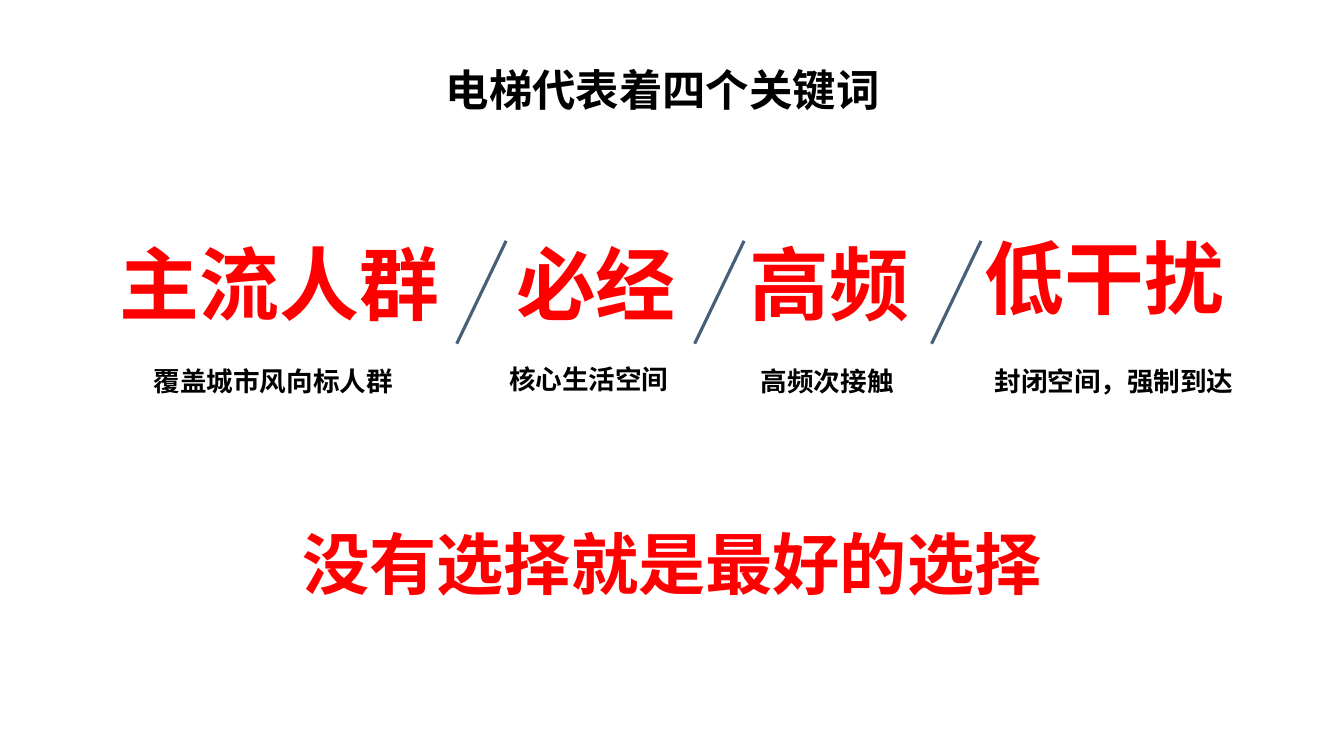
"""Build a slide with four keywords about lifts and a closing claim."""
import pptx
import pptx.util
from lxml import etree
from pptx.dml.color import RGBColor
from pptx.enum.shapes import MSO_CONNECTOR
from pptx.enum.text import MSO_ANCHOR, MSO_AUTO_SIZE, PP_ALIGN
from pptx.oxml.ns import qn

PX = 9144
FONT = "Noto Sans CJK SC"
RED = RGBColor(0xFF, 0x00, 0x00)
BLACK = RGBColor(0x00, 0x00, 0x00)
SLATE = RGBColor(0x47, 0x5F, 0x77)

WORDS = [
    ("主流人群", 109, 228, 341),
    ("必经", 502, 228, 180),
    ("高频", 734, 228, 180),
    ("低干扰", 967, 222, 261),
]
NOTES = [
    ("覆盖城市风向标人群", 125, 357, 292),
    ("核心生活空间", 485, 355, 198),
    ("高频次接触", 732, 357, 177),
    ("封闭空间，强制到达", 959, 357, 292),
]
SLASHES = [502, 738, 973]


def px(*nums):
    """Turn px lengths into EMU."""
    return [pptx.util.Emu(num * PX) for num in nums]


def write(frame, text, size=19, color=BLACK, align=PP_ALIGN.CENTER,
          lead=None, wrap=True, fit=MSO_AUTO_SIZE.SHAPE_TO_FIT_TEXT):
    """Put one bold line of text into a frame."""
    frame.word_wrap = wrap
    frame.auto_size = fit
    para = frame.paragraphs[0]
    para.alignment = align
    para.line_spacing = lead
    run = para.add_run()
    run.text = text
    font = run.font
    font.size = pptx.util.Pt(size)
    font.bold = True
    font.color.rgb = color
    font.name = FONT
    east = etree.SubElement(run._r.get_or_add_rPr(), qn("a:ea"))
    east.set("typeface", FONT)


def add_text(slide, text, left, top, width, height, **style):
    """Add a text box with one styled line."""
    box = slide.shapes.add_textbox(*px(left, top, width, height))
    write(box.text_frame, text, **style)


def add_title(slide, text):
    """Move and fill the title placeholder."""
    title = slide.shapes.title
    title.left, title.top, title.width, title.height = px(79, 60, 1156, 64)
    title.text_frame.vertical_anchor = MSO_ANCHOR.MIDDLE
    write(title.text_frame, text, size=31, lead=0.9, fit=MSO_AUTO_SIZE.NONE)


def add_slash(slide, right):
    """Draw a slanted line between two keywords."""
    line = slide.shapes.add_connector(
        MSO_CONNECTOR.STRAIGHT, *px(right, 239, right - 49, 341))
    line.line.color.rgb = SLATE
    line.line.width = pptx.util.Pt(2.25)
    etree.SubElement(line._element.spPr, qn("a:effectLst"))


def main():
    """Build and save the slide."""
    deck = pptx.Presentation()
    deck.slide_width, deck.slide_height = px(1333, 750)
    slide = deck.slides.add_slide(deck.slide_layouts[5])
    add_title(slide, "电梯代表着四个关键词")
    for text, left, top, width in WORDS:
        add_text(slide, text, left, top, width, 106, size=57, color=RED,
                 align=PP_ALIGN.LEFT, wrap=False)
    for text, left, top, width in NOTES:
        add_text(slide, text, left, top, width, 42)
    for right in SLASHES:
        add_slash(slide, right)
    add_text(slide, "没有选择就是最好的选择", 16, 473, 1301, 131,
             size=48, color=RED, lead=1.5)
    deck.save("out.pptx")


if __name__ == "__main__":
    main()
